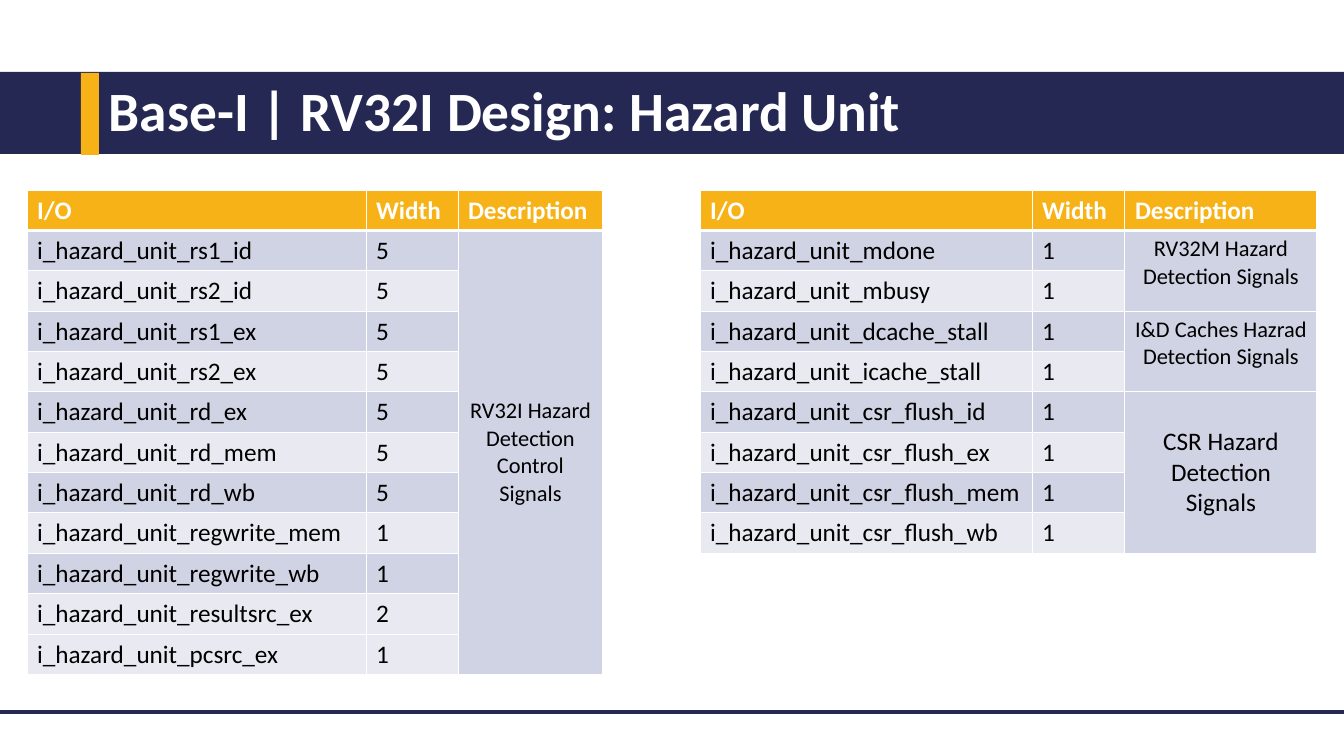
from lxml.etree import SubElement
from pptx import Presentation
from pptx.dml.color import RGBColor
from pptx.enum.shapes import MSO_CONNECTOR as Connector, MSO_SHAPE as Shape
from pptx.enum.text import MSO_ANCHOR as Anchor, PP_ALIGN as Align
from pptx.oxml.ns import qn
from pptx.util import Pt

EMU_PER_PX = 9071.43
WIDTH, HEIGHT = 1344, 756
ROW_HEIGHT = 40
COLOURS = {
    "navy": "242852",
    "amber": "F7B217",
    "white": "FFFFFF",
    "black": "000000",
    "band": "D0D3E3",
    "pale": "E9EAF1",
}


def px(length):
    return round(length * EMU_PER_PX)


def rgb(name):
    return RGBColor.from_string(COLOURS[name])


class HazardSlide:
    font = "Calibri"
    header = ("I/O", "Width", "Description")

    def __init__(self, deck):
        self.slide = deck.slides.add_slide(deck.slide_layouts[6])
        self.shapes = self.slide.shapes

    def add_text(self, frame, text, size, colour, bold=False, align=Align.LEFT):
        paragraph = frame.paragraphs[0]
        paragraph.alignment = align
        run = paragraph.add_run()
        run.text = text
        run.font.name = self.font
        run.font.size = Pt(size)
        run.font.bold = bold
        run.font.color.rgb = rgb(colour)
        return paragraph

    def bar(self, left, top, width, height, colour):
        bar = self.shapes.add_shape(
            Shape.RECTANGLE, px(left), px(top), px(width), px(height))
        bar.shadow.inherit = False
        bar.fill.solid()
        bar.fill.fore_color.rgb = rgb(colour)
        bar.line.fill.background()

    def title(self, text, left, top, width, height):
        box = self.shapes.add_textbox(px(left), px(top), px(width), px(height))
        frame = box.text_frame
        frame.word_wrap = True
        frame.vertical_anchor = Anchor.MIDDLE
        self.add_text(frame, text, 39.6, "white", bold=True).line_spacing = 0.9

    def rule(self, y, colour):
        rule = self.shapes.add_connector(
            Connector.STRAIGHT, 0, px(y), px(WIDTH), px(y))
        rule.line.color.rgb = rgb(colour)
        rule.line.width = Pt(2.25)
        SubElement(rule._element.spPr, qn("a:effectLst"))

    def paint_cell(self, cell, fill, top=0.75, bottom=0.75):
        """Give a cell white borders, of widths in points, and then its fill."""
        properties = cell._tc.get_or_add_tcPr()
        for side, width in (("L", 0.75), ("R", 0.75), ("T", top), ("B", bottom)):
            border = SubElement(properties, qn(f"a:ln{side}"), w=str(Pt(width)))
            solid = SubElement(border, qn("a:solidFill"))
            SubElement(solid, qn("a:srgbClr"), val=COLOURS["white"])
        cell.fill.solid()
        cell.fill.fore_color.rgb = rgb(fill)

    def signal_table(self, left, top, widths, signals, groups, pale_rows):
        """Groups are (row count, description, text size, anchor), top to bottom."""
        row_count = len(signals) + 1
        table = self.shapes.add_table(
            row_count, len(widths), px(left), px(top),
            px(sum(widths)), px(ROW_HEIGHT * row_count)).table
        for column, width in zip(table.columns, widths):
            column.width = px(width)
        for row in table.rows:
            row.height = px(ROW_HEIGHT)

        for index, heading in enumerate(self.header):
            cell = table.cell(0, index)
            self.paint_cell(cell, "amber", bottom=1.89)
            self.add_text(cell.text_frame, heading, 18, "white", bold=True)

        for number, signal in enumerate(signals, 1):
            top_border = 1.89 if number == 1 else 0.75
            fill = "pale" if number in pale_rows else "band"
            for index, value in enumerate(signal):
                cell = table.cell(number, index)
                self.paint_cell(cell, fill, top=top_border)
                self.add_text(cell.text_frame, value, 18, "black")
            self.paint_cell(table.cell(number, 2), "band", top=top_border)

        first = 1
        for count, description, size, anchor in groups:
            cell = table.cell(first, 2)
            cell.merge(table.cell(first + count - 1, 2))
            cell.vertical_anchor = anchor
            self.add_text(cell.text_frame, description, size, "black",
                          align=Align.CENTER)
            first += count


def prefixed(signals):
    return [(f"i_hazard_unit_{name}", width) for name, width in signals]


CORE_SIGNALS = prefixed([
    ("rs1_id", "5"), ("rs2_id", "5"), ("rs1_ex", "5"), ("rs2_ex", "5"),
    ("rd_ex", "5"), ("rd_mem", "5"), ("rd_wb", "5"),
    ("regwrite_mem", "1"), ("regwrite_wb", "1"),
    ("resultsrc_ex", "2"), ("pcsrc_ex", "1"),
])
CORE_GROUPS = [
    (11, "RV32I Hazard Detection Control Signals", 16, Anchor.MIDDLE),
]
EXTENSION_SIGNALS = prefixed([
    ("mdone", "1"), ("mbusy", "1"),
    ("dcache_stall", "1"), ("icache_stall", "1"),
    ("csr_flush_id", "1"), ("csr_flush_ex", "1"),
    ("csr_flush_mem", "1"), ("csr_flush_wb", "1"),
])
EXTENSION_GROUPS = [
    (2, "RV32M Hazard Detection Signals", 16, Anchor.TOP),
    (2, "I&D Caches Hazrad Detection Signals", 16, Anchor.TOP),
    (4, "CSR Hazard Detection Signals", 18, Anchor.MIDDLE),
]


def main():
    deck = Presentation()
    deck.slide_width, deck.slide_height = px(WIDTH), px(HEIGHT)
    slide = HazardSlide(deck)
    slide.bar(0, 72, WIDTH, 82, "navy")
    slide.title("Base-I | RV32I Design: Hazard Unit", 99, 81, 1058, 66)
    slide.bar(81, 73, 18, 82, "amber")
    slide.rule(712, "navy")
    slide.signal_table(27, 190, (339, 92, 145), CORE_SIGNALS, CORE_GROUPS,
                       pale_rows=(2, 4, 6, 8, 10, 11))
    slide.signal_table(700, 190, (332, 93, 192), EXTENSION_SIGNALS,
                       EXTENSION_GROUPS, pale_rows=(2, 4, 6, 8))
    deck.save("out.pptx")


if __name__ == "__main__":
    main()
